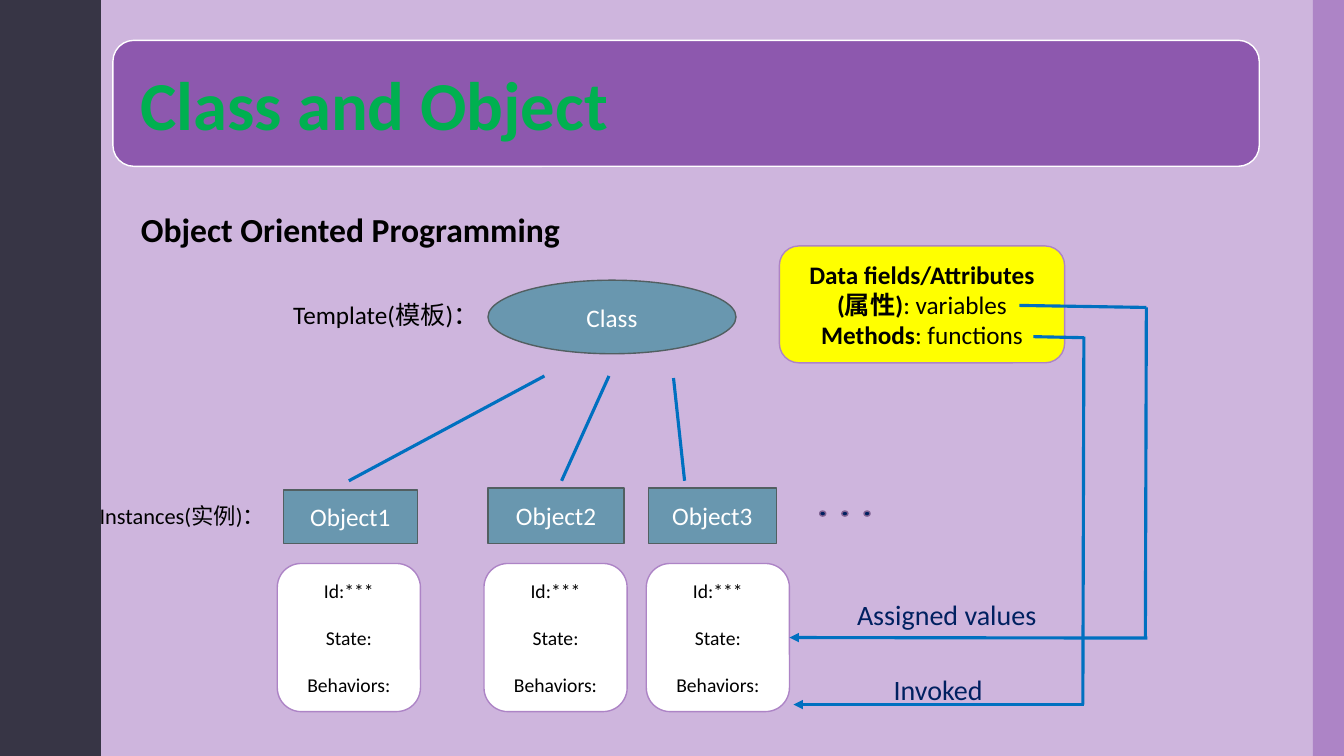
from dataclasses import dataclass
from math import cos, pi
from typing import Optional

from lxml import etree
from pptx import Presentation
from pptx import util as u
from pptx.dml import color
from pptx.enum import shapes, text
from pptx.oxml import ns

COLORS = {
    "background": "CEB5DD", "wave": "373545", "lilac": "AD84C6",
    "purple": "874EA9", "white": "FFFFFF", "black": "000000",
    "green": "00B050", "teal": "6997AF", "slate": "525F61",
    "navy": "002060", "plum": "806292", "yellow": "FFFF00", "blue": "0070C0",
}
KIND = shapes.MSO_SHAPE
ALIGN = text.PP_ALIGN
Paragraphs = tuple[tuple[str, ...], ...]


@dataclass
class Words:
    paragraphs: Paragraphs
    size: float
    color: str = "black"
    bold: bool = False
    align: ALIGN = ALIGN.CENTER
    gap: float = 0
    wrap: bool = True
    inset: Optional[float] = None
    anchor: text.MSO_ANCHOR = text.MSO_ANCHOR.MIDDLE


@dataclass
class Box:
    left: float
    top: float
    width: float
    height: float
    kind: Optional[KIND] = None
    fill: str = ""
    line: str = ""
    words: Optional[Words] = None


@dataclass
class Line:
    start: tuple[float, float]
    end: tuple[float, float]
    arrow: bool = False


def rgb(name: str) -> color.RGBColor:
    return color.RGBColor.from_string(COLORS[name])


def write(sp, words: Words) -> None:
    tf = sp.text_frame
    tf.word_wrap = words.wrap
    tf.vertical_anchor = words.anchor
    if words.inset is not None:
        tf.margin_left = tf.margin_right = u.Inches(words.inset)
        tf.margin_top = tf.margin_bottom = u.Inches(words.inset)
    for i, (first, *rest) in enumerate(words.paragraphs):
        p = tf.add_paragraph() if i else tf.paragraphs[0]
        p.text = first
        p.alignment = words.align
        if i and words.gap:
            p.space_before = u.Pt(words.gap)
        for part in rest:
            p.add_run().text = part
        for j, r in enumerate(p.runs):
            r.font.name = "Calibri"
            r.font.size = u.Pt(words.size)
            r.font.bold = words.bold and j == 0
            r.font.color.rgb = rgb(words.color)


def add_box(s, box: Box):
    place = [u.Inches(v) for v in (box.left, box.top, box.width, box.height)]
    if box.kind is None:
        sp = s.shapes.add_textbox(*place)
    else:
        sp = s.shapes.add_shape(box.kind, *place)
        sp.shadow.inherit = False
        sp.fill.solid()
        sp.fill.fore_color.rgb = rgb(box.fill)
        if box.line:
            sp.line.color.rgb = rgb(box.line)
            sp.line.width = u.Pt(1)
        else:
            sp.line.fill.background()
    if box.words:
        write(sp, box.words)
    return sp


def add_line(s, line: Line):
    ends = [u.Inches(v) for v in (*line.start, *line.end)]
    cx = s.shapes.add_connector(shapes.MSO_CONNECTOR.STRAIGHT, *ends)
    cx.line.color.rgb = rgb("blue")
    cx.line.width = u.Pt(2.25)
    if line.arrow:
        ln = cx.line._get_or_add_ln()
        etree.SubElement(ln, ns.qn("a:tailEnd"), type="triangle")
    etree.SubElement(cx._element.spPr, ns.qn("a:effectLst"))
    return cx


def add_wave(s) -> None:
    edge = [(0.875 - 0.095 * cos(2 * pi * y / 1.5), y)
            for y in (k / 16 for k in range(121))]
    fb = s.shapes.build_freeform(0, 0, scale=u.Inches(1))
    fb.add_line_segments([*edge, (0, 7.5)], close=True)
    sp = fb.convert_to_shape()
    sp.shadow.inherit = False
    sp.fill.solid()
    sp.fill.fore_color.rgb = rgb("wave")
    sp.line.fill.background()


def label(content: str, size: float, **style) -> Words:
    return Words(((content,),), size, anchor=text.MSO_ANCHOR.TOP, **style)


def node(content: str) -> Words:
    return Words(((content,),), 18, "white")


TITLE = Words((("Class and Object",),), 49, "green", True, ALIGN.LEFT, inset=0.2)
MEMBERS = Words((("Data fields/Attributes (属性)", ": variables"),
                 ("Methods", ": functions")), 18, bold=True)
CARD = Words((("Id:***",), ("State:",), ("Behaviors:",)), 14, gap=17)

BOXES = [
    Box(1.19, 0.46, 11.25, 1.13, words=TITLE),
    Box(4.84, 2.78, 2.46, 0.73, KIND.OVAL, "teal", "slate", node("Class")),
    Box(2.81, 4.86, 1.33, 0.53, KIND.RECTANGLE, "teal", "slate", node("Object1")),
    Box(4.84, 4.84, 1.35, 0.55, KIND.RECTANGLE, "teal", "slate", node("Object2")),
    Box(6.43, 4.84, 1.27, 0.55, KIND.RECTANGLE, "teal", "slate", node("Object3")),
    *(Box(8.13 + 0.22 * k, 5.07, 0.06, 0.05, KIND.OVAL, "navy", "plum")
      for k in range(3)),
    Box(7.73, 2.44, 2.83, 1.16, KIND.ROUNDED_RECTANGLE, "yellow", "lilac", MEMBERS),
    Box(0.94, 2.02, 5.07, 0.5, words=label("Object Oriented Programming", 24, bold=True)),
    Box(8.39, 5.88, 2, 0.44,
        words=label("Assigned values", 20, color="navy", wrap=False)),
    Box(8.76, 6.62, 1.09, 0.44, words=label("Invoked", 20, color="navy", wrap=False)),
    Box(2.81, 2.92, 2.11, 0.4, words=label("Template(模板)：", 18, align=ALIGN.LEFT)),
    Box(0.89, 4.93, 2.14, 0.37, words=label("Instances(实例)：", 16, align=ALIGN.LEFT)),
]
CARD_LEFTS = (2.75, 4.8, 6.41)
LINES = [
    Line((5.4, 3.73), (3.46, 4.77)),
    Line((6.04, 3.73), (5.57, 4.77)),
    Line((6.68, 3.75), (6.79, 4.77)),
    Line((10.11, 3.03), (11.37, 3.05)),
    Line((11.37, 3.05), (11.36, 6.33)),
    Line((10.25, 3.34), (10.75, 3.35)),
    Line((10.75, 3.34), (10.74, 6.99)),
    Line((10.75, 6.99), (7.87, 6.99), True),
]
ASSIGN_ARROW = Line((11.38, 6.33), (7.87, 6.33), True)


def main() -> None:
    prs = Presentation()
    prs.slide_width, prs.slide_height = u.Inches(13.33), u.Inches(7.5)
    s = prs.slides.add_slide(prs.slide_layouts[6])
    s.background.fill.solid()
    s.background.fill.fore_color.rgb = rgb("background")
    add_wave(s)
    add_box(s, Box(13.02, 0, 0.31, 7.5, KIND.RECTANGLE, "lilac"))
    banner = add_box(s, Box(1.12, 0.4, 11.37, 1.25, KIND.ROUNDED_RECTANGLE,
                            "purple", "white"))
    tint = banner._element.spPr.find(ns.qn("a:solidFill"))[0]
    etree.SubElement(tint, ns.qn("a:alpha"), val="90000")
    for box in BOXES:
        add_box(s, box)
    cards = [add_box(s, Box(left, 5.59, 1.42, 1.47, KIND.ROUNDED_RECTANGLE,
                            "white", "lilac", CARD)) for left in CARD_LEFTS]
    for line in LINES:
        add_line(s, line)
    add_line(s, ASSIGN_ARROW).end_connect(cards[-1], 3)
    prs.save("out.pptx")


if __name__ == "__main__":
    main()
